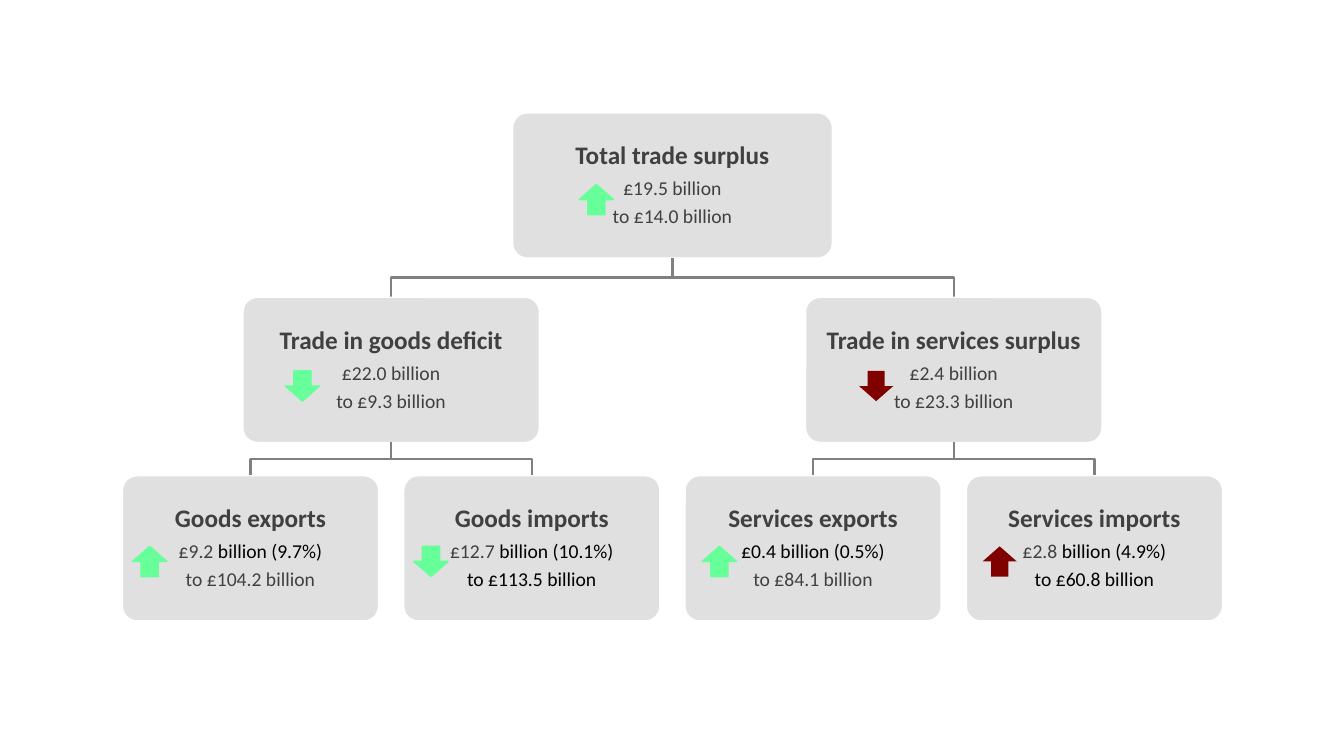
from lxml import etree
from pptx import Presentation
from pptx.dml.color import RGBColor
from pptx.enum.shapes import MSO_SHAPE as Preset
from pptx.enum.text import MSO_ANCHOR as Anchor, PP_ALIGN as Align
from pptx.oxml.ns import qn
from pptx.util import Inches, Pt

GRAY = RGBColor(0xBF, 0xBF, 0xBF)
DARK = RGBColor(0x40, 0x40, 0x40)
BLACK = RGBColor(0, 0, 0)
WHITE = RGBColor(0xFF, 0xFF, 0xFF)
LINK = RGBColor(0x80, 0x80, 0x80)
GREEN = RGBColor(0x66, 0xFF, 0x99)
RED = RGBColor(0x80, 0, 0)

# Content: title, lines of (text, colour) runs, arrow turn and colour,
# arrow offset from the left edge of the box
UP, DOWN = 180, 0
LEVELS = [
    [("Total trade surplus",
      [[("£19.5 billion", DARK)], [("to £14.0 billion", DARK)]], UP, GREEN, 0.66)],
    [("Trade in goods deficit",
      [[("£22.0 billion", DARK)], [("to £9.3 billion", DARK)]], DOWN, GREEN, 0.42),
     ("Trade in services surplus",
      [[("£2.4 billion", DARK)], [("to £23.3 billion", DARK)]], DOWN, RED, 0.53)],
    [("Goods exports",
      [[("£9.2 ", DARK), ("billion (9.7%)", BLACK)],
       [("to £104.2 billion", DARK)]], UP, GREEN, 0.1),
     ("Goods imports",
      [[("£12.7 ", DARK), ("billion (10.1%)", BLACK)],
       [("to £113.5 billion", BLACK)]], DOWN, GREEN, 0.1),
     ("Services exports",
      [[("£0.4 billion (0.5%)", BLACK)],
       [("to £84.1 billion", DARK)]], UP, GREEN, 0.17),
     ("Services imports",
      [[("£2.8 ", DARK), ("billion (4.9%)", BLACK)],
       [("to £60.8 billion", BLACK)]], UP, RED, 0.16)],
]

# Geometry: top, box width and arrow drop of each level
LEVEL_SIZES = [(1.12, 3.17, 0.71), (2.95, 2.94, 0.73), (4.72, 2.54, 0.7)]
BOX_HEIGHT = 1.44
CENTER, PITCH = 6.67, 2.79
ARROW_WIDTH, ARROW_HEIGHT = 0.34, 0.3

deck = Presentation()
deck.slide_width, deck.slide_height = Inches(13.33), Inches(7.5)
page = deck.slides.add_slide(deck.slide_layouts[6])


def add_shape(preset, left, top, width, height, fill, line=None):
    shape = page.shapes.add_shape(preset, *map(Inches, (left, top, width, height)))
    shape.shadow.inherit = False
    shape.fill.solid()
    shape.fill.fore_color.rgb = fill
    if line is None:
        shape.line.fill.background()
    else:
        shape.line.color.rgb = line
        shape.line.width = Pt(1)
    return shape


def write(para, runs, size, bold=False):
    para.alignment = Align.CENTER
    para.line_spacing = 0.9
    para.space_after = Pt(0.35 * size)
    for text, color in runs:
        span = para.add_run()
        span.text = text
        span.font.name = "Calibri"
        span.font.size = Pt(size)
        span.font.bold = bold
        span.font.color.rgb = color


def add_box(left, top, width, title, lines):
    box = add_shape(Preset.ROUNDED_RECTANGLE, left, top, width, BOX_HEIGHT, GRAY, WHITE)
    box.adjustments[0] = 0.1
    color = box.fill._xPr.find(".//" + qn("a:srgbClr"))
    etree.SubElement(color, qn("a:alpha"), val="48000")
    frame = box.text_frame
    frame.word_wrap = True
    frame.vertical_anchor = Anchor.MIDDLE
    frame.margin_left = frame.margin_right = Inches(0.07)
    frame.margin_top = frame.margin_bottom = Inches(0.07)
    write(frame.paragraphs[0], [(title, DARK)], 18, bold=True)
    for runs in lines:
        write(frame.add_paragraph(), runs, 14)


def add_link(parent_x, child_x, top, bottom):
    middle = (top + bottom) / 2
    builder = page.shapes.build_freeform(Inches(parent_x), Inches(top))
    corners = [(parent_x, middle), (child_x, middle), (child_x, bottom)]
    builder.add_line_segments([(Inches(x), Inches(y)) for x, y in corners], close=False)
    link = builder.convert_to_shape()
    link.shadow.inherit = False
    link.fill.background()
    link.line.color.rgb = LINK
    link.line.width = Pt(1.75)


# Box centres: equal steps within a level, each parent midway over its children
def center_x(level, index):
    step = PITCH * len(LEVELS[-1]) / len(LEVELS[level])
    return CENTER + (index - (len(LEVELS[level]) - 1) / 2) * step


# Boxes with the links from their parents
arrows = []
for level, (top, width, drop) in enumerate(LEVEL_SIZES):
    for index, (title, lines, turn, color, offset) in enumerate(LEVELS[level]):
        x = center_x(level, index)
        if level:
            parent_bottom = LEVEL_SIZES[level - 1][0] + BOX_HEIGHT
            add_link(center_x(level - 1, index // 2), x, parent_bottom, top)
        add_box(x - width / 2, top, width, title, lines)
        arrows.append((x - width / 2 + offset, top + drop, turn, color))

# Trend arrows
for left, top, turn, color in arrows:
    outline = GREEN if color == GREEN else None
    arrow = add_shape(Preset.DOWN_ARROW, left, top, ARROW_WIDTH, ARROW_HEIGHT, color, outline)
    arrow.rotation = turn

deck.save("out.pptx")
